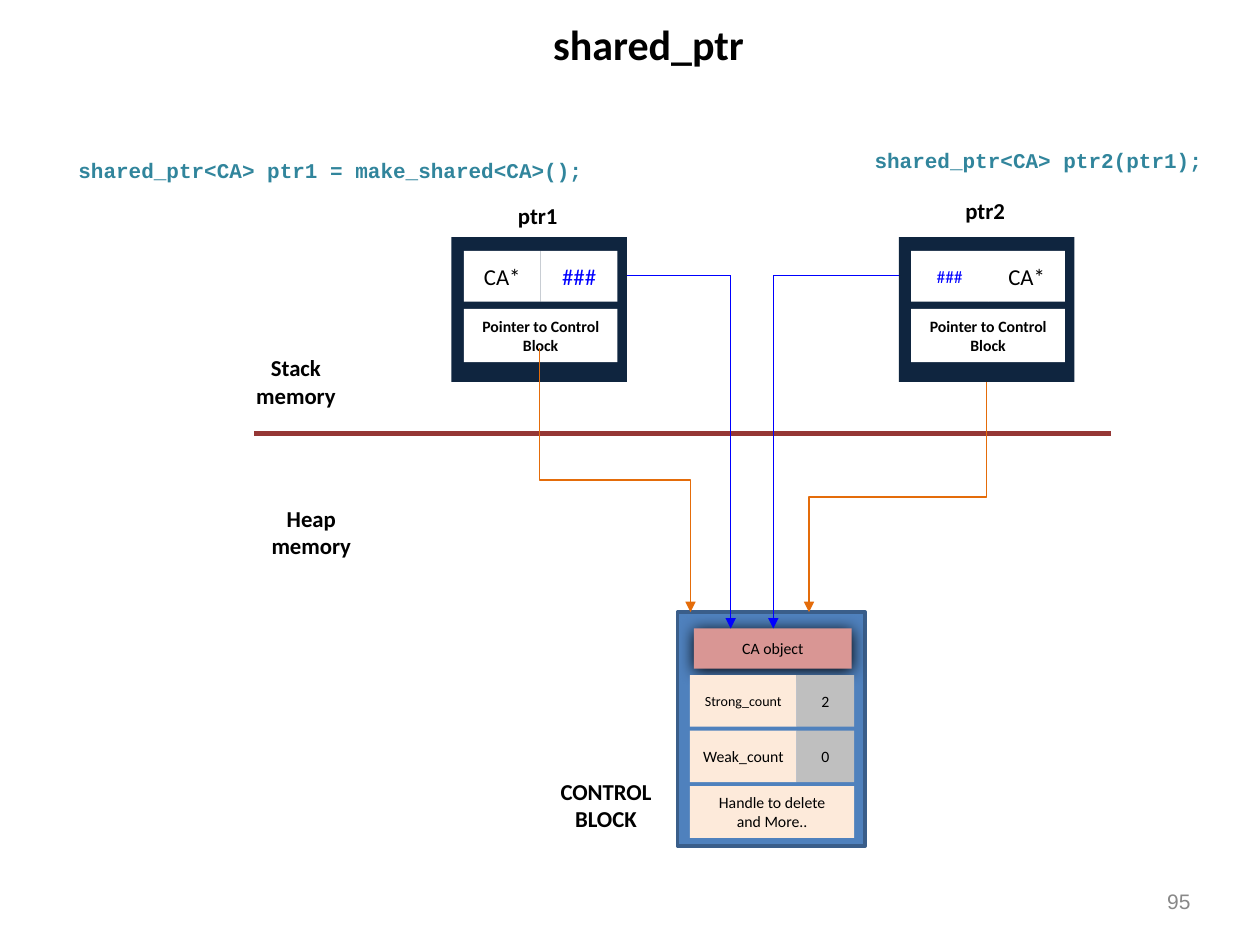
from lxml.etree import SubElement
from pptx import Presentation
from pptx.dml.color import RGBColor
from pptx.enum.shapes import MSO_CONNECTOR as Link, MSO_SHAPE as Preset
from pptx.enum.text import MSO_ANCHOR as Anchor, MSO_AUTO_SIZE as AutoSize, PP_ALIGN as Align
from pptx.oxml.ns import qn
from pptx.util import Cm, Pt

BLACK, WHITE, BLUE, ORANGE = "000000", "FFFFFF", "0000FF", "E46C0A"
NAVY, PEACH, GREY, TEAL = "0F253F", "FDEADA", "BFBFBF", "31859C"
INSET = 0.13


def colour(hex_value):
    """Turn a hex string into a colour."""
    return RGBColor.from_string(hex_value)


def write(frame, lines, size, ink=BLACK, bold=False, font="Calibri",
          align=Align.CENTER, anchor=Anchor.TOP, side=INSET):
    """Fill a text frame with one formatted run per line."""
    frame.word_wrap = True
    frame.auto_size = AutoSize.NONE
    frame.vertical_anchor = anchor
    frame.margin_left = frame.margin_right = Cm(side)
    frame.margin_top = frame.margin_bottom = Cm(INSET)
    for index, line in enumerate(lines):
        paragraph = frame.add_paragraph() if index else frame.paragraphs[0]
        paragraph.alignment = align
        run = paragraph.add_run()
        run.text = line
        run.font.name, run.font.size, run.font.bold = font, Pt(size), bold
        run.font.color.rgb = colour(ink)


def add_label(slide, box, text, size=13, bold=True, **style):
    """Add a text box at the given left, top, width and height."""
    label = slide.shapes.add_textbox(*map(Cm, box))
    write(label.text_frame, [text], size, bold=bold, **style)


def add_cell(slide, box, fill, lines=(), size=9, **style):
    """Add a flat rectangle with centred text."""
    cell = slide.shapes.add_shape(Preset.RECTANGLE, *map(Cm, box))
    cell.shadow.inherit = False
    cell.fill.solid()
    cell.fill.fore_color.rgb = colour(fill)
    cell.line.fill.background()
    if lines:
        write(cell.text_frame, lines, size, anchor=Anchor.MIDDLE, side=2 * INSET, **style)
    return cell


def style_line(shape, ink, width, arrow=False):
    """Colour a line and give it an arrowhead where asked."""
    shape.line.color.rgb = colour(ink)
    shape.line.width = Pt(width)
    if arrow:
        SubElement(shape.element.spPr.find(qn("a:ln")), qn("a:tailEnd"), type="triangle")


def add_straight(slide, start, end, ink, width, arrow=False):
    """Add a straight connector without a shadow."""
    connector = slide.shapes.add_connector(Link.STRAIGHT, *map(Cm, start + end))
    style_line(connector, ink, width, arrow)
    SubElement(connector.element.spPr, qn("a:effectLst"))


def add_elbow(slide, points, ink):
    """Add a bent arrow through the given points."""
    start, *rest = [(Cm(x), Cm(y)) for x, y in points]
    builder = slide.shapes.build_freeform(*start)
    builder.add_line_segments(rest, close=False)
    elbow = builder.convert_to_shape()
    elbow.shadow.inherit = False
    elbow.fill.background()
    style_line(elbow, ink, 0.75, arrow=True)


def add_pointer(slide, left, top, name, name_top, fields):
    """Draw a shared pointer with its name, two fields and control block row."""
    add_cell(slide, (left, top, 3.54, 2.92), NAVY)
    for index, (text, size, ink) in enumerate(fields):
        add_cell(slide, (left + 0.25 + 1.55 * index, top + 0.28, 1.55, 1.02),
                 WHITE, [text], size, ink=ink)
    add_cell(slide, (left + 0.25, top + 1.45, 3.1, 1.07), WHITE,
             ["Pointer to Control Block"], bold=True)
    add_label(slide, (left + 1.14, name_top, 1.2, 0.71), name)


def add_control_block(slide, left, top):
    """Draw the control block with its object, counters and delete handle."""
    block = add_cell(slide, (left, top, 3.78, 4.72), "4F81BD")
    style_line(block, "3A5E8A", 2)
    managed = add_cell(slide, (left + 0.33, top + 0.33, 3.18, 0.81), "D99694", ["CA object"])
    effects = managed.element.spPr.find(qn("a:effectLst"))
    shadow = SubElement(effects, qn("a:outerShdw"), blurRad=str(Pt(9)),
                        dist=str(Pt(1)), dir="5400000", rotWithShape="0")
    SubElement(shadow, qn("a:srgbClr"), val=BLACK)

    row_left, row_top, pitch, height = left + 0.25, top + 1.27, 1.12, 1.04
    counters = [("Strong_count", 8, "2"), ("Weak_count", 9, "0")]
    for index, (name, size, count) in enumerate(counters):
        y = row_top + index * pitch
        add_cell(slide, (row_left, y, 2.15, height), PEACH, [name], size)
        add_cell(slide, (row_left + 2.15, y, 1.16, height), GREY, [count])
    add_cell(slide, (row_left, row_top + 2 * pitch, 3.31, height), PEACH,
             ["Handle to delete", "and More.."])
    add_label(slide, (left - 2.69, top + 3.2, 2.49, 1.28), "CONTROL BLOCK")


def add_memory_areas(slide, left, top):
    """Draw the divider between stack and heap with both names."""
    add_straight(slide, (left, top), (left + 17.27, top), "953735", 3)
    add_label(slide, (left - 0.41, top - 1.73, 2.49, 1.28), "Stack memory")
    add_label(slide, (left - 0.1, top + 1.3, 2.49, 1.28), "Heap memory")


def add_links(slide, first, second, block, top, block_top):
    """Link both pointers to the managed object and the control block."""
    field_y, object_y = top + 0.78, block_top + 0.33
    bend = (block + 1.07, field_y)
    add_straight(slide, (first + 3.54, field_y), bend, BLUE, 0.75)
    add_straight(slide, bend, (bend[0], object_y), BLUE, 0.75, arrow=True)
    add_elbow(slide, [(second, field_y), (block + 1.93, field_y),
                      (block + 1.93, object_y)], BLUE)
    for start_x, start_y, end_x in [(first + 1.78, top + 2.23, block + 0.26),
                                    (second + 1.77, top + 2.92, block + 2.65)]:
        middle = (start_y + block_top) / 2
        add_elbow(slide, [(start_x, start_y), (start_x, middle),
                          (end_x, middle), (end_x, block_top)], ORANGE)


def add_heading(slide, box):
    """Place the slide title."""
    title = slide.shapes.title
    title.left, title.top, title.width, title.height = map(Cm, box)
    write(title.text_frame, ["shared_ptr"], 24, bold=True)


def main():
    """Build and save the slide."""
    deck = Presentation()
    deck.slide_width, deck.slide_height = Cm(25.4), Cm(19.05)
    slide = deck.slides.add_slide(deck.slide_layouts[5])
    first, second, pointer_top = 9.1, 18.12, 4.78
    block, block_top = 13.66, 12.34

    add_heading(slide, (10.85, 0.25, 4.45, 1.09))
    add_pointer(slide, second, pointer_top, "ptr2", 3.84,
                [("###", 10, BLUE), ("CA*", 13, BLACK)])
    add_pointer(slide, first, pointer_top, "ptr1", 3.94,
                [("CA*", 13, BLACK), ("###", 13, BLUE)])
    add_control_block(slide, block, block_top)
    add_memory_areas(slide, 5.13, 8.74)
    add_links(slide, first, second, block, pointer_top, block_top)

    code = {"font": "Courier New", "ink": TEAL, "align": Align.LEFT}
    add_label(slide, (1.45, 3.05, 11.02, 0.74),
              "shared_ptr<CA> ptr1 = make_shared<CA>();", 12, **code)
    add_label(slide, (17.5, 2.84, 7.2, 0.74), "shared_ptr<CA> ptr2(ptr1);", 12, **code)
    add_label(slide, (22.13, 17.83, 2, 0.69), "95", 12, bold=False, font="Arial",
              ink="888888", align=Align.RIGHT, anchor=Anchor.MIDDLE)
    deck.save("out.pptx")


if __name__ == "__main__":
    main()
